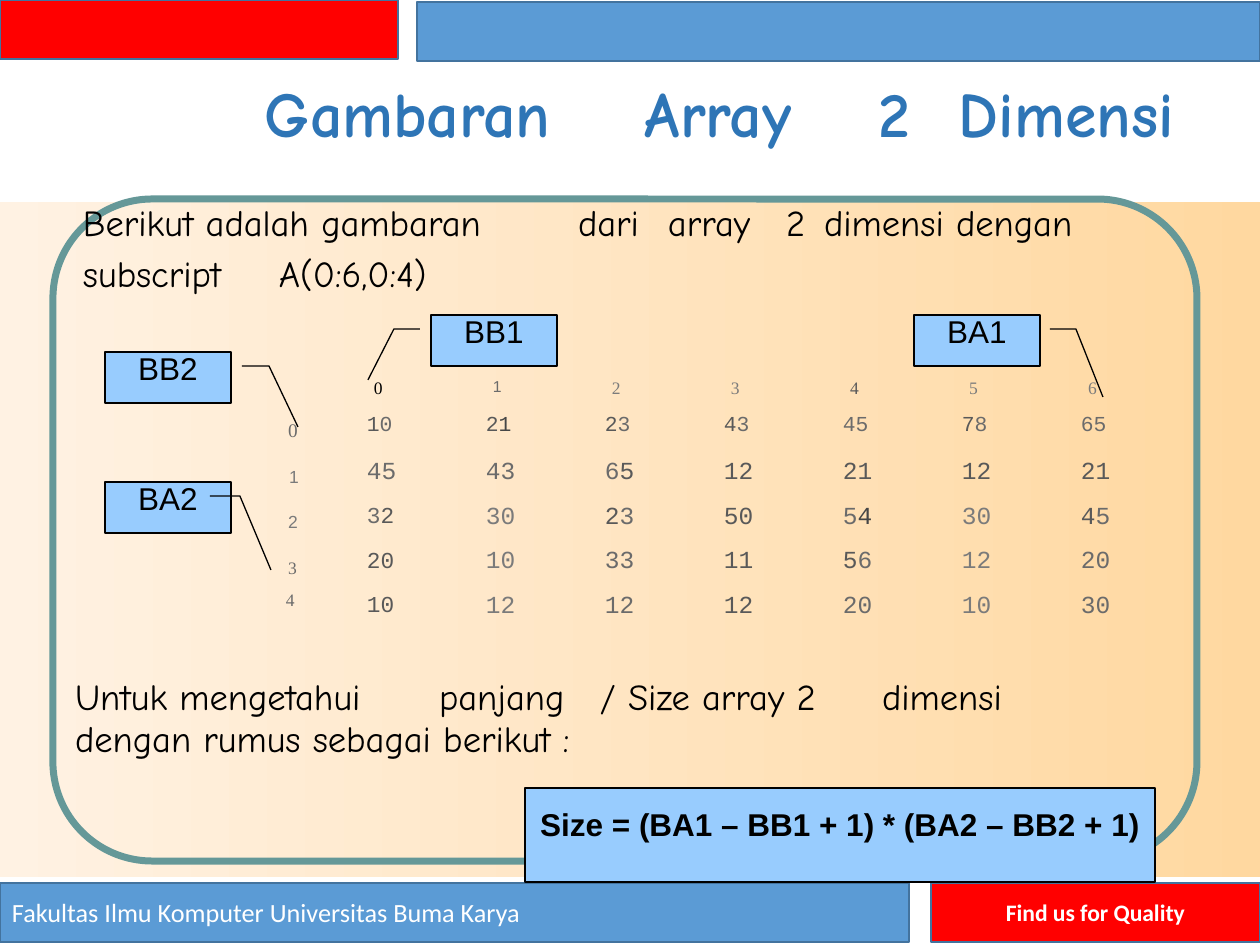
from dataclasses import dataclass

from lxml import etree
from pptx import Presentation
from pptx.dml.color import RGBColor
from pptx.enum.shapes import MSO_SHAPE
from pptx.enum.text import MSO_ANCHOR, MSO_AUTO_SIZE, PP_ALIGN
from pptx.oxml.ns import qn
from pptx.util import Emu, Pt

RECT, ROUNDED = MSO_SHAPE.RECTANGLE, MSO_SHAPE.ROUNDED_RECTANGLE
LEFT, CENTER = PP_ALIGN.LEFT, PP_ALIGN.CENTER
TOP, MIDDLE = MSO_ANCHOR.TOP, MSO_ANCHOR.MIDDLE
NO_FIT = MSO_AUTO_SIZE.NONE
EMU_PER_PX = 914400 / 126
TITLE_ONLY = 5


@dataclass(frozen=True)
class Theme:
    red: str = "FF0000"
    blue: str = "5B9BD5"
    band_edge: str = "43739E"
    heading: str = "2E75B6"
    sand_dark: str = "FFD8A0"
    sand_light: str = "FFF2E3"
    frame: str = "659898"
    label: str = "98CCFE"
    black: str = "000000"
    white: str = "FFFFFF"
    darkest: str = "464646"
    dark: str = "595959"
    mid: str = "6B6B6B"
    light: str = "7B7B7B"
    script: str = "Comic Neue"
    sans: str = "Arial"
    serif: str = "Times New Roman"
    mono: str = "Courier New"
    footer: str = "Calibri"
    title_size: float = 63
    body_size: float = 36
    label_size: float = 18
    first_row_size: float = 21
    footer_size: float = 15
    slogan_size: float = 13.5


T = Theme()
SHADES = {"b": T.black, "k": T.darkest, "d": T.dark, "m": T.mid, "l": T.light}


def px(length):
    return Emu(round(length * EMU_PER_PX))


class Deck:
    def __init__(self):
        self.prs = Presentation()
        self.prs.slide_width, self.prs.slide_height = px(1260), px(945)
        self.slide = self.prs.slides.add_slide(self.prs.slide_layouts[TITLE_ONLY])

    def shape(self, box, fill=None, edge=None, width=1, kind=RECT):
        shape = self.slide.shapes.add_shape(kind, *map(px, box))
        shape.shadow.inherit = False
        if fill:
            shape.fill.solid()
            shape.fill.fore_color.rgb = RGBColor.from_string(fill)
        else:
            shape.fill.background()
        if edge:
            shape.line.color.rgb = RGBColor.from_string(edge)
            shape.line.width = Pt(width)
        else:
            shape.line.fill.background()
        return shape

    def leader(self, points):
        builder = self.slide.shapes.build_freeform(*points[0], scale=EMU_PER_PX)
        builder.add_line_segments(points[1:], close=False)
        line = builder.convert_to_shape()
        line.shadow.inherit = False
        line.fill.background()
        line.line.color.rgb = RGBColor.from_string(T.black)
        line.line.width = Pt(0.75)

    def frame(self, shape, anchor=TOP, inset=0, top=0):
        frame = shape.text_frame
        frame.word_wrap, frame.auto_size = True, NO_FIT
        frame.vertical_anchor = anchor
        frame.margin_left = frame.margin_right = px(inset)
        frame.margin_top, frame.margin_bottom = px(top), 0
        return frame

    def textbox(self, box):
        return self.frame(self.slide.shapes.add_textbox(*map(px, box)))

    def paragraph(self, para, spacing=None, before=0, align=LEFT):
        para.alignment = align
        para.space_before = Pt(before)
        if spacing:
            para.line_spacing = spacing
        return para

    def run(self, para, text, size, font, color, bold=False, raised=0):
        run = para.add_run()
        run.text = text
        run.font.size, run.font.name, run.font.bold = Pt(size), font, bold
        run.font.color.rgb = RGBColor.from_string(color)
        if raised:
            run._r.get_or_add_rPr().set("baseline", str(raised * 1000))

    def tabbed(self, frame, starts, parts, spacing, before, **style):
        """One line whose parts begin at the given pixel positions."""
        para = self.paragraph(frame.paragraphs[0], Pt(spacing), before)
        tabs = etree.SubElement(para._p.get_or_add_pPr(), qn("a:tabLst"))
        for start in starts[1:]:
            etree.SubElement(tabs, qn("a:tab"), pos=str(px(start - starts[0])), algn="l")
        self.run(para, "\t".join(parts), **style)

    def title(self, starts, parts):
        title = self.slide.shapes.title
        title.left, title.top, title.width, title.height = map(px, (starts[0], 84, 980, 77))
        self.tabbed(self.frame(title), starts, parts, 44, 2.2, size=T.title_size,
                    font=T.script, color=T.heading, bold=True, raised=1)

    def body_line(self, top, starts, parts):
        frame = self.textbox((starts[0], top, 1090, 45))
        self.tabbed(frame, starts, parts, 26, 1.3, size=T.body_size,
                    font=T.script, color=T.black, raised=2)

    def band(self, box, fill, text=None, align=LEFT, size=T.footer_size, bold=False):
        band = self.shape(box, fill, T.band_edge)
        if text:
            para = self.paragraph(self.frame(band, MIDDLE, 12).paragraphs[0], align=align)
            self.run(para, text, size, T.footer, T.white, bold)

    def label(self, box, text, bold=False, top=0, before=4.6):
        label = self.shape(box, T.label, T.black, 0.75)
        para = self.paragraph(self.frame(label, top=top).paragraphs[0], 0.96, before, CENTER)
        self.run(para, text, T.label_size, T.sans, T.black, bold)

    def subscript(self, left, top, text, shade, font=T.serif, size=10):
        para = self.textbox((left, top, 18, 22)).paragraphs[0]
        self.paragraph(para, Pt(size + 1.2), 0.6)
        self.run(para, text, size, font, SHADES[shade])

    def column(self, left, cells, size=14, gap=9.8):
        frame = self.textbox((left, 413, 60, 210))
        for row, cell in enumerate(cells):
            para = frame.paragraphs[0] if row == 0 else frame.add_paragraph()
            if row == 0:
                self.paragraph(para, Pt(15.5), 0.8)
            else:
                self.paragraph(para, 0.94, gap if row > 1 else 9.7)
            cell_size = T.first_row_size if row == 0 else 14 if row == 1 else size
            for part in cell.split():
                digits, shade = part.split(":")
                self.run(para, digits, cell_size, T.mono, SHADES[shade],
                         raised=0 if row else 4)


deck = Deck()

# Background and bands
sand = deck.shape((0, 202, 1260, 675), T.sand_dark)
sand.fill.gradient()
sand.fill.gradient_angle = 180
for stop, color in zip(sand.fill.gradient_stops, (T.sand_dark, T.sand_light)):
    stop.color.rgb = RGBColor.from_string(color)
deck.band((0, 0, 398, 59), T.red)
deck.band((417, 2, 843, 59), T.blue)
deck.band((0, 883, 909, 59), T.blue, "Fakultas Ilmu Komputer Universitas Buma Karya")
deck.band((931, 883, 329, 59), T.red, "Find us for Quality", CENTER, T.slogan_size, True)
content_frame = deck.shape((53, 199, 1144, 662), edge=T.frame, width=4, kind=ROUNDED)
content_frame.adjustments[0] = 0.15

# Title and introduction
deck.title((265, 645, 879, 959), ("Gambaran", "Array", "2", "Dimensi"))
deck.body_line(205, (83, 578, 668, 786, 824),
               ("Berikut adalah gambaran", "dari", "array", "2", "dimensi dengan"))
deck.body_line(256, (83, 279), ("subscript", "A(0:6,0:4)"))

# Bound labels with their leaders
BOUNDS = [
    ("BB1", 431, 315, [(368, 380), (394, 329), (420, 329)]),
    ("BA1", 914, 315, [(1103, 397), (1076, 329), (1050, 329)]),
    ("BB2", 105, 352, [(298, 427), (269, 366), (242, 366)]),
    ("BA2", 105, 482, [(271, 570), (240, 496), (210, 496)]),
]
for name, left, top, points in BOUNDS:
    deck.label((left, top, 126, 51), name)
    deck.leader(points)

# Array values, one column per first subscript
COLUMN_PITCH = 119
COLUMNS = [
    ("1:d 0:m", "45:m", "3:m 2:d", "20:d", "10:d"),
    ("2:d 1:k", "43:m", "30:l", "10:l", "12:l"),
    ("2:d 3:m", "6:m 5:d", "2:d 3:m", "33:m", "12:m"),
    ("4:d 3:m", "12:d", "50:d", "11:d", "12:d"),
    ("45:m", "21:d", "5:m 4:k", "5:d 6:m", "20:m"),
    ("7:d 8:m", "12:d", "30:l", "12:l", "10:l"),
    ("65:m", "21:d", "4:d 5:m", "20:m", "30:m"),
]
for index, (cells, shade) in enumerate(zip(COLUMNS, "bmlldll")):
    offset = index * COLUMN_PITCH
    face = {"font": T.sans, "size": 9} if index == 1 else {}
    deck.subscript(374 + offset, 378, str(index), shade, **face)
    first = {"size": 13, "gap": 10.6} if index == 0 else {}
    deck.column(367 + offset, cells, **first)

# Second subscripts down the side
ROW_SUBSCRIPTS = [
    (288, 420, "m", T.serif, 11),
    (289, 467, "l", T.sans, 10),
    (288, 512, "l", T.sans, 10),
    (288, 558, "m", T.serif, 10),
    (286, 590, "m", T.serif, 10),
]
for index, (left, top, shade, font, size) in enumerate(ROW_SUBSCRIPTS):
    deck.subscript(left, top, str(index), shade, font, size)

# Size formula
deck.body_line(679, (75, 439, 600, 882),
               ("Untuk mengetahui", "panjang", "/ Size array 2", "dimensi"))
deck.body_line(721, (75,), ("dengan rumus sebagai berikut :",))
deck.label((525, 788, 630, 94), "Size = (BA1 – BB1 + 1) * (BA2 – BB2 + 1)",
           bold=True, top=19, before=0)

deck.prs.save("out.pptx")
